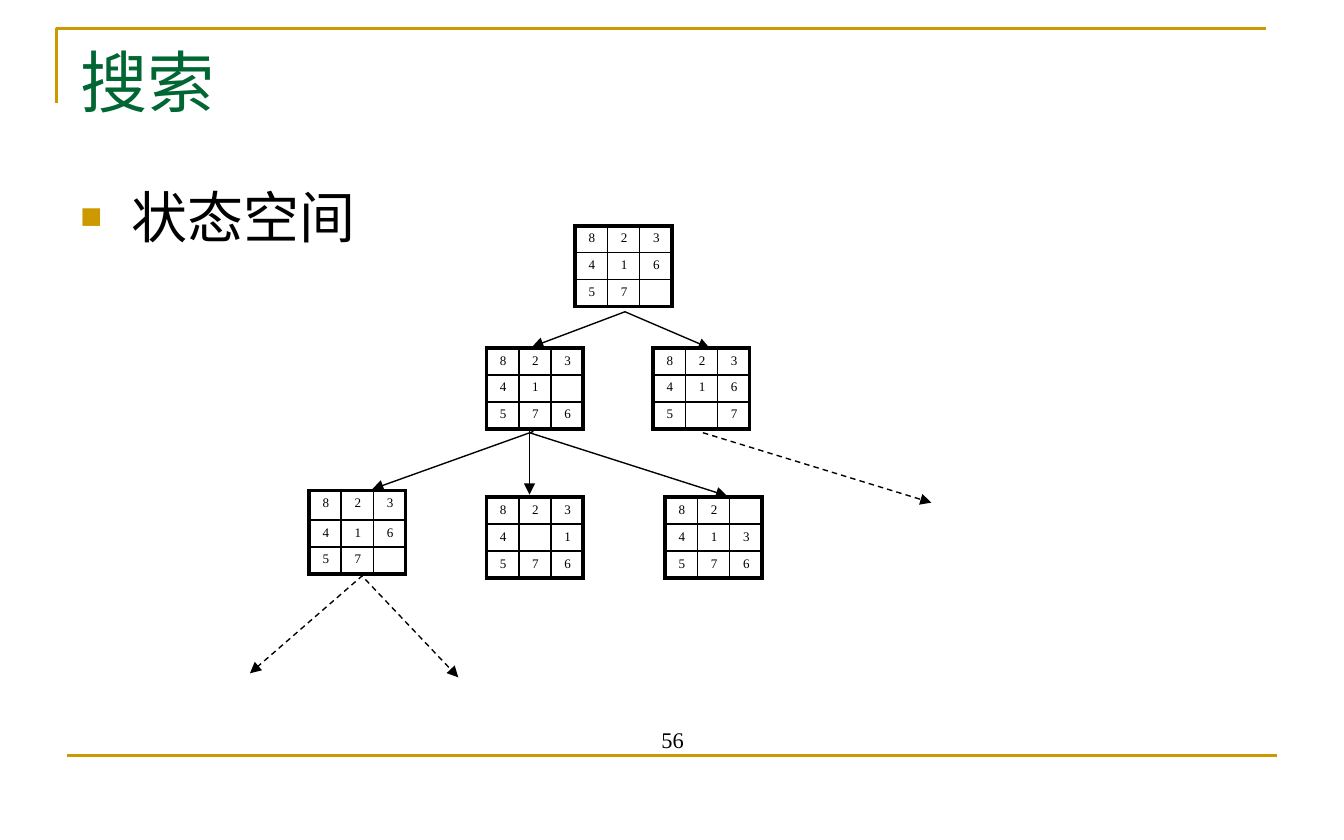
from dataclasses import dataclass

from lxml import etree
from pptx import Presentation
from pptx.dml.color import RGBColor
from pptx.enum.dml import MSO_LINE
from pptx.enum.shapes import MSO_CONNECTOR
from pptx.enum.text import MSO_ANCHOR, PP_ALIGN
from pptx.oxml.ns import qn
from pptx.util import Inches, Pt

STRAIGHT = MSO_CONNECTOR.STRAIGHT
DASH = MSO_LINE.DASH
TOP, BOTTOM = MSO_ANCHOR.TOP, MSO_ANCHOR.BOTTOM
CENTER = PP_ALIGN.CENTER


@dataclass(frozen=True)
class Theme:
    gold: str = "CC9900"
    green: str = "006633"
    black: str = "000000"
    serif: str = "Times New Roman"
    sans: str = "Arial"
    title: float = 36
    body: float = 30
    number: float = 12
    tile: float = 7
    rule: float = 1.5
    arrow: float = 0.75
    outer: float = 2.25
    inner: float = 1


THEME = Theme()
BOARD_W = 0.71
ROW_H = 0.2
BOARDS = [
    (2.48, 0.08, ["823", "416", "57 "], ROW_H),
    (1.82, 0.99, ["823", "41 ", "576"], ROW_H),
    (3.06, 0.99, ["823", "416", "5 7"], ROW_H),
    (3.15, 2.1, ["82 ", "413", "576"], ROW_H),
    (1.82, 2.1, ["823", "4 1", "576"], ROW_H),
    (0.5, 2.05, ["823", "416", "57 "], 0.22),
]
MOVES = [
    ((2.85, 0.72), (2.16, 0.98), False),
    ((2.85, 0.72), (3.48, 0.99), False),
    ((2.17, 1.61), (0.97, 2.04), False),
    ((2.14, 1.61), (2.14, 2.08), False),
    ((2.14, 1.62), (3.61, 2.09), False),
    ((3.43, 1.62), (5.13, 2.14), True),
    ((0.9, 2.68), (0.06, 3.41), True),
    ((0.87, 2.66), (1.61, 3.44), True),
]


def sub(parent, tag, **attrs):
    return etree.SubElement(parent, qn(tag), attrs)


def set_font(p, name, size, color):
    p.font.name = name
    p.font.size = Pt(size)
    p.font.color.rgb = RGBColor.from_string(color)


def add_line(s, start, end, color, width):
    line = s.shapes.add_connector(STRAIGHT, *map(Inches, start + end))
    line.line.color.rgb = RGBColor.from_string(color)
    line.line.width = Pt(width)
    sub(line._element.spPr, "a:effectLst")
    return line


def add_frame(s, left, top, width, height):
    builder = s.shapes.build_freeform(Inches(left), Inches(top + height))
    corners = [(left, top), (left + width, top)]
    builder.add_line_segments([(Inches(x), Inches(y)) for x, y in corners], close=False)
    sp = builder.convert_to_shape()
    sp.fill.background()
    sp.line.color.rgb = RGBColor.from_string(THEME.gold)
    sp.line.width = Pt(THEME.rule)
    sp.shadow.inherit = False


def add_title(s, left, top, width, height, text):
    sp = s.shapes.title
    sp.left, sp.top, sp.width, sp.height = map(Inches, (left, top, width, height))
    tf = sp.text_frame
    tf.text = text
    tf.vertical_anchor = TOP
    p = tf.paragraphs[0]
    p.alignment = PP_ALIGN.LEFT
    set_font(p, THEME.serif, THEME.title, THEME.green)


def add_text(s, left, top, width, height, text):
    tf = s.shapes.add_textbox(*map(Inches, (left, top, width, height))).text_frame
    tf.word_wrap = True
    p = tf.paragraphs[0]
    p.text = text
    return tf, p


def add_body(s, left, top, width, height, text):
    p = add_text(s, left, top, width, height, text)[1]
    pPr = p._p.get_or_add_pPr()
    pPr.set("marL", str(Inches(0.38)))
    pPr.set("indent", str(Inches(-0.38)))
    sub(sub(pPr, "a:buClr"), "a:srgbClr", val=THEME.gold)
    sub(pPr, "a:buSzPct", val="65000")
    sub(pPr, "a:buFont", typeface=THEME.sans)
    sub(pPr, "a:buChar", char="■")
    set_font(p, THEME.sans, THEME.body, THEME.black)


def add_footer(s, left, top, width, number):
    add_line(s, (left, top), (left + width, top), THEME.gold, THEME.rule)
    tf, p = add_text(s, left + 2.92, top - 0.39, 3.17, 0.42, number)
    tf.vertical_anchor = BOTTOM
    p.alignment = CENTER
    set_font(p, THEME.serif, THEME.number, THEME.black)


def set_borders(cell, row, col):
    tcPr = cell._tc.get_or_add_tcPr()
    edges = {"L": col == 0, "R": col == 2, "T": row == 0, "B": row == 2}
    for side, is_outer in edges.items():
        width = Pt(THEME.outer if is_outer else THEME.inner)
        ln = sub(tcPr, f"a:ln{side}", w=str(width))
        sub(sub(ln, "a:solidFill"), "a:srgbClr", val=THEME.black)


def add_board(s, left, top, rows, first_h):
    box = map(Inches, (left, top, BOARD_W, first_h + 2 * ROW_H))
    table = s.shapes.add_table(3, 3, *box).table
    table.first_row = table.horz_banding = False
    for i, digits in enumerate(rows):
        table.rows[i].height = Inches(ROW_H if i else first_h)
        table.columns[i].width = Inches(BOARD_W / 3)
        for j, digit in enumerate(digits):
            cell = table.cell(i, j)
            cell.margin_left = cell.margin_right = Inches(0.1)
            cell.margin_top = cell.margin_bottom = Inches(0.04)
            set_borders(cell, i, j)
            cell.fill.background()
            p = cell.text_frame.paragraphs[0]
            p.text = digit.strip()
            set_font(p, THEME.serif, THEME.tile, THEME.black)
            if not p.text:
                sub(p._p, "a:endParaRPr", sz=str(int(THEME.tile * 100)))


def add_tree(s, left, top):
    for x, y, rows, first_h in BOARDS:
        add_board(s, left + x, top + y, rows, first_h)
    for (x1, y1), (x2, y2), dashed in MOVES:
        start, end = (left + x1, top + y1), (left + x2, top + y2)
        arrow = add_line(s, start, end, THEME.black, THEME.arrow)
        if dashed:
            arrow.line.dash_style = DASH
        sub(arrow.line._get_or_add_ln(), "a:tailEnd", type="triangle")


def main():
    prs = Presentation()
    prs.slide_width, prs.slide_height = Inches(10), Inches(6.25)
    s = prs.slides.add_slide(prs.slide_layouts[5])
    add_frame(s, 0.42, 0.21, 9, 0.56)
    add_footer(s, 0.5, 5.62, 9, "56")
    add_title(s, 0.5, 0.25, 9, 1.04, "搜索")
    add_body(s, 0.5, 1.31, 9, 4.13, "状态空间")
    add_tree(s, 1.8, 1.6)
    prs.save("out.pptx")


if __name__ == "__main__":
    main()
